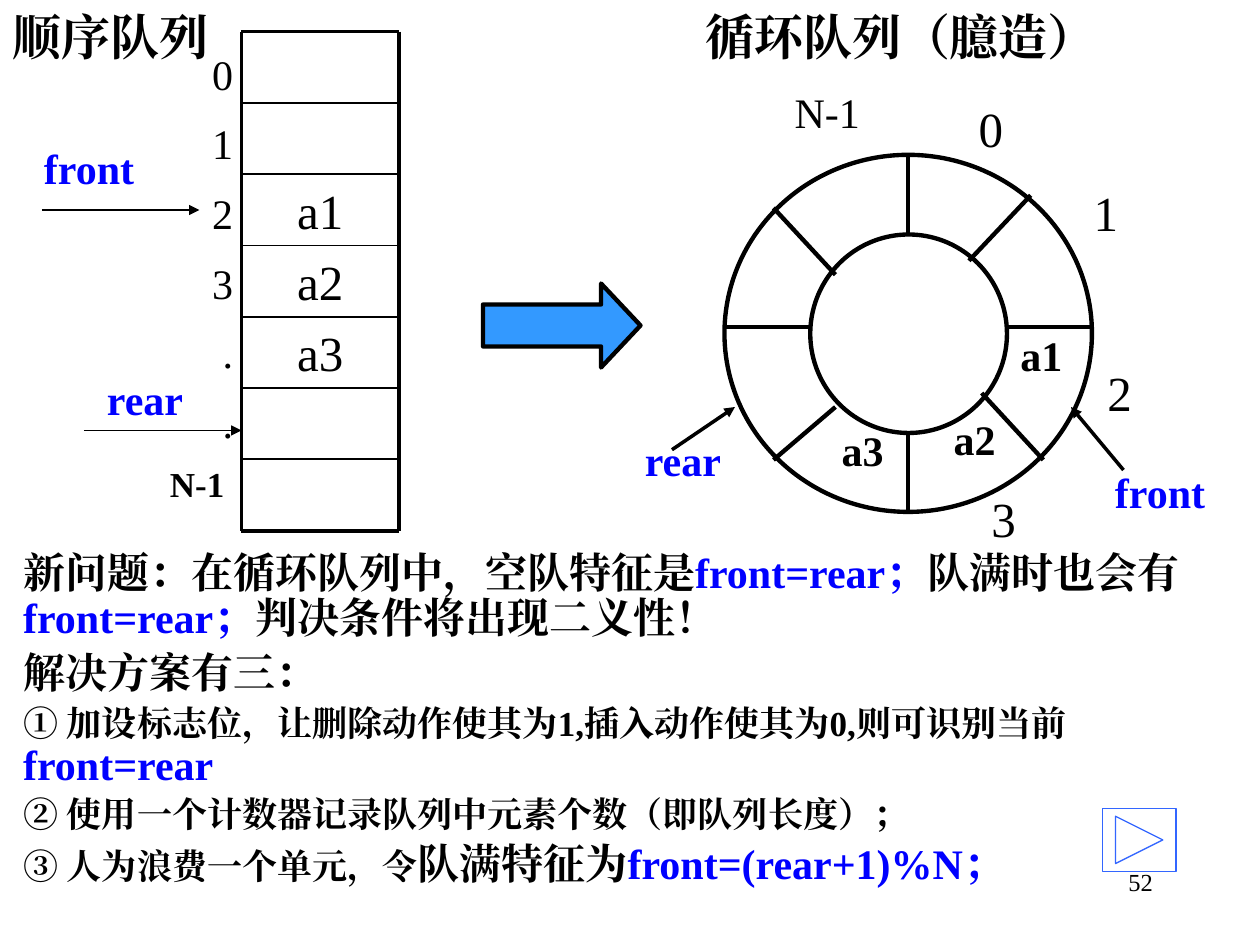
"""Build a slide that turns a sequential queue into a circular queue."""
import pptx
import pptx.dml.color
import pptx.enum.shapes
import pptx.enum.text
import pptx.oxml.ns
import pptx.util
from dataclasses import dataclass
from lxml import etree

Pt = pptx.util.Pt
ALIGN = pptx.enum.text.PP_ALIGN
SHAPE = pptx.enum.shapes.MSO_SHAPE
qn = pptx.oxml.ns.qn


@dataclass(frozen=True)
class Theme:
    ink: str = "000000"
    accent: str = "0000FF"
    arrow: str = "3399FF"
    button: str = "3366FF"
    serif: str = "Times New Roman"
    sans: str = "Noto Sans CJK SC"
    heading: int = 28
    label: int = 24
    small: int = 20
    number: int = 14
    line_height: float = 1.15


theme = Theme()

PLAIN = dict(size=theme.label)
BOLD = dict(size=theme.label, bold=True)
SANS = dict(BOLD, font=theme.sans)
CODE = dict(BOLD, color=theme.accent)
SMALL = dict(size=theme.small, bold=True)
CELL = dict(size=theme.heading)
HEADING = dict(size=theme.heading, bold=True)

TITLE = "顺序队列"
NOTES = [
    [("新问题：", BOLD), ("在循环队列中，空队特征是", SANS), ("front=rear；", CODE),
     ("队满时也会有", SANS), ("front=rear；", CODE), ("判决条件将出现二义性！", SANS)],
    [("解决方案有三：", BOLD)],
    [("① 加设标志位，让删除动作使其为1,插入动作使其为0,则可识别当前", SMALL), ("front=rear", CODE)],
    [("② 使用一个计数器记录队列中元素个数（即队列长度）；", SMALL)],
    [("③ 人为浪费一个单元，令", SMALL), ("队满特征为", SANS), ("front=(rear+1)%N；", CODE)],
]
INDEXES = [[(text, PLAIN)] for text in "0123"[:4]] + [[(".", PLAIN)]] * 2 + [[("N-1", SMALL)]]
CELLS = ["", "", "a1", "a2", "a3", "", ""]

LABELS = [
    ("循环队列（臆造）", HEADING, 396, 0, 240.5),
    ("a1", BOLD, 576, 185, 38), ("a2", BOLD, 537.8, 232.6, 38), ("a3", BOLD, 473.8, 239, 38),
    ("0", CELL, 552.2, 52.6, 28.8), ("1", CELL, 617.8, 100.8, 28.8),
    ("2", CELL, 625.7, 203.8, 28.8), ("3", CELL, 559.4, 275.8, 28.8),
    ("N-1", PLAIN, 447, 46, 52),
    ("rear", CODE, 361.4, 244.8, 58.3), ("front", CODE, 630, 262.8, 66.2),
    ("front", CODE, 18, 77.8, 66.2), ("rear", CODE, 54, 210.2, 58.3),
]

ARRAY_LEFT, ARRAY_RIGHT, ARRAY_TOP, ROW = 138, 228, 18, 40.75
OUTER = (414, 88.5, 210, 204)
INNER = (463, 134, 112.4, 113.4)
DIAGONALS = [
    (442, 118.8, 477.4, 157), (561, 224.6, 596.2, 262.8),
    (589, 111.6, 553.7, 149), (477.4, 232.6, 442, 262.8),
]
POINTERS = [
    (24, 120, 114, 120, 0.75), (48, 246, 138, 246, 0.75),
    (384, 257, 420, 232.6, 2), (642, 268.6, 612, 232.6, 2),
]


def rgb(color):
    return pptx.dml.color.RGBColor.from_string(color)


def style_run(run, size, bold=False, color=theme.ink, font=theme.serif):
    run.font.size, run.font.bold, run.font.name = Pt(size), bold, font
    run.font.color.rgb = rgb(color)
    etree.SubElement(run.font._element, qn("a:ea"), typeface=theme.serif)


def write(frame, paragraphs, align=ALIGN.LEFT, gap=0, spacing=None, wrap=True):
    frame.word_wrap = wrap
    frame.auto_size = pptx.enum.text.MSO_AUTO_SIZE.NONE
    frame.vertical_anchor = pptx.enum.text.MSO_ANCHOR.TOP
    for number, spans in enumerate(paragraphs):
        para = frame.add_paragraph() if number else frame.paragraphs[0]
        para.alignment = align
        para.line_spacing = spacing
        para.space_before = Pt(round(number and gap * spans[0][1]["size"] * theme.line_height, 1))
        for text, style in spans:
            span = para.add_run()
            span.text = text
            style_run(span, **style)


def place(shape, left, top, width, height):
    shape.left, shape.top, shape.width, shape.height = map(Pt, (left, top, width, height))


def add_text(page, place_at, paragraphs, **options):
    box = page.shapes.add_textbox(*map(Pt, place_at))
    write(box.text_frame, paragraphs, **options)
    return box


def add_line(page, start_x, start_y, end_x, end_y, width, arrow=False):
    line = page.shapes.add_connector(
        pptx.enum.shapes.MSO_CONNECTOR.STRAIGHT, *map(Pt, (start_x, start_y, end_x, end_y)))
    line.line.color.rgb = rgb(theme.ink)
    line.line.width = Pt(width)
    if arrow:
        etree.SubElement(line.line._get_or_add_ln(), qn("a:tailEnd"), type="triangle")
    etree.SubElement(line._element.spPr, qn("a:effectLst"))


def add_outline(page, kind, place_at, width, color=theme.ink, fill=None):
    shape = page.shapes.add_shape(kind, *map(Pt, place_at))
    shape.shadow.inherit = False
    if fill:
        shape.fill.solid()
        shape.fill.fore_color.rgb = rgb(fill)
    else:
        shape.fill.background()
    shape.line.color.rgb = rgb(color)
    shape.line.width = Pt(width)
    return shape


def add_placeholders(page):
    title, body = page.placeholders
    place(title, 0, 0, 127.4, 41)
    write(title.text_frame, [[(TITLE, HEADING)]], wrap=False)
    place(body, 6, 312, 714, 206)
    write(body.text_frame, NOTES, gap=0.2, spacing=0.9)
    for para in body.text_frame.paragraphs:
        properties = para._p.get_or_add_pPr()
        properties.set("marL", "0")
        properties.set("indent", "0")
        etree.SubElement(properties, qn("a:buNone"))


def add_array(page):
    bottom = ARRAY_TOP + len(CELLS) * ROW
    for row in range(len(CELLS) + 1):
        y = ARRAY_TOP + row * ROW
        add_line(page, ARRAY_LEFT, y, ARRAY_RIGHT, y, 2.25 if row in (0, len(CELLS)) else 1)
    for x in (ARRAY_LEFT, ARRAY_RIGHT):
        add_line(page, x, ARRAY_TOP, x, bottom, 2.25)
    for row, text in enumerate(CELLS):
        if text:
            add_text(page, (ARRAY_LEFT, ARRAY_TOP + row * ROW, ARRAY_RIGHT - ARRAY_LEFT, ROW),
                     [[(text, CELL)]], align=ALIGN.CENTER)
    box = add_text(page, (90, 24, 54, 270.7), INDEXES, align=ALIGN.RIGHT, gap=0.4)
    box.text_frame.margin_right = Pt(10.8)
    box.text_frame.paragraphs[-1].alignment = ALIGN.LEFT


def add_ring(page):
    for circle in (INNER, OUTER):
        add_outline(page, SHAPE.OVAL, circle, 2.5)
    (left, top, width, height), (in_left, in_top, in_width, in_height) = OUTER, INNER
    middle_x, middle_y = left + width / 2, 187
    straight = [
        (left, middle_y, in_left, middle_y),
        (in_left + in_width, middle_y, left + width, middle_y),
        (middle_x, top, middle_x, in_top),
        (middle_x, in_top + in_height, middle_x, top + height),
    ]
    for spoke in straight + DIAGONALS:
        add_line(page, *spoke, 2.5)


def main():
    deck = pptx.Presentation()
    deck.slide_width, deck.slide_height = Pt(720), Pt(540)
    page = deck.slides.add_slide(deck.slide_layouts[1])
    add_placeholders(page)
    add_array(page)
    add_ring(page)
    arrow = add_outline(page, SHAPE.RIGHT_ARROW, (276, 162, 90, 48), 2.5, fill=theme.arrow)
    arrow.adjustments[1] = 0.47
    for pointer in POINTERS:
        add_line(page, *pointer, arrow=True)
    for text, style, left, top, width in LABELS:
        add_text(page, (left, top, width, 41 if style["size"] == theme.heading else 36),
                 [[(text, style)]], wrap=False)
    add_text(page, (516, 492, 150, 36), [[("52", dict(size=theme.number))]], align=ALIGN.RIGHT)
    add_outline(page, SHAPE.ACTION_BUTTON_FORWARD_OR_NEXT, (630, 462, 42, 36), 0.75, theme.button)
    deck.save("out.pptx")


if __name__ == "__main__":
    main()
